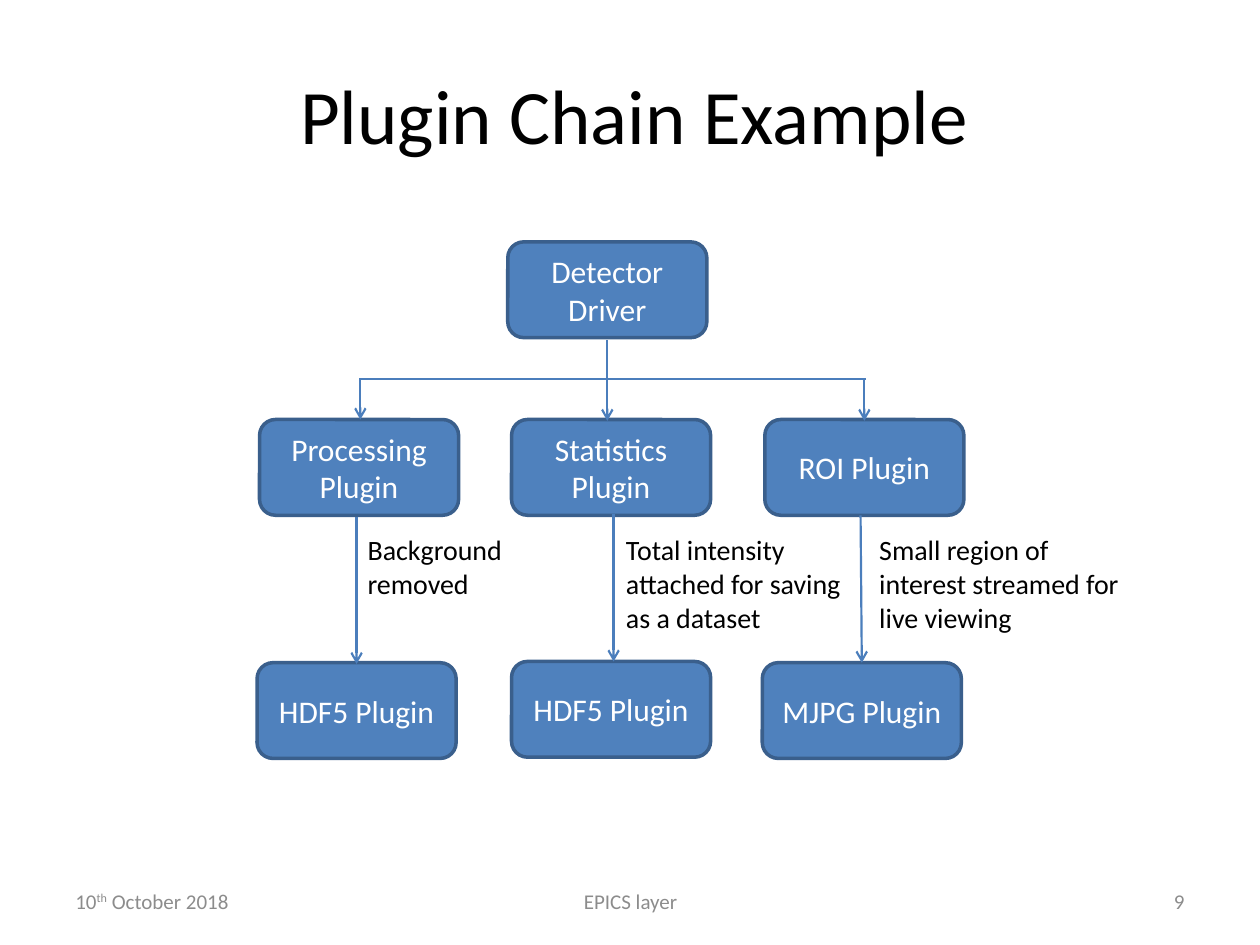
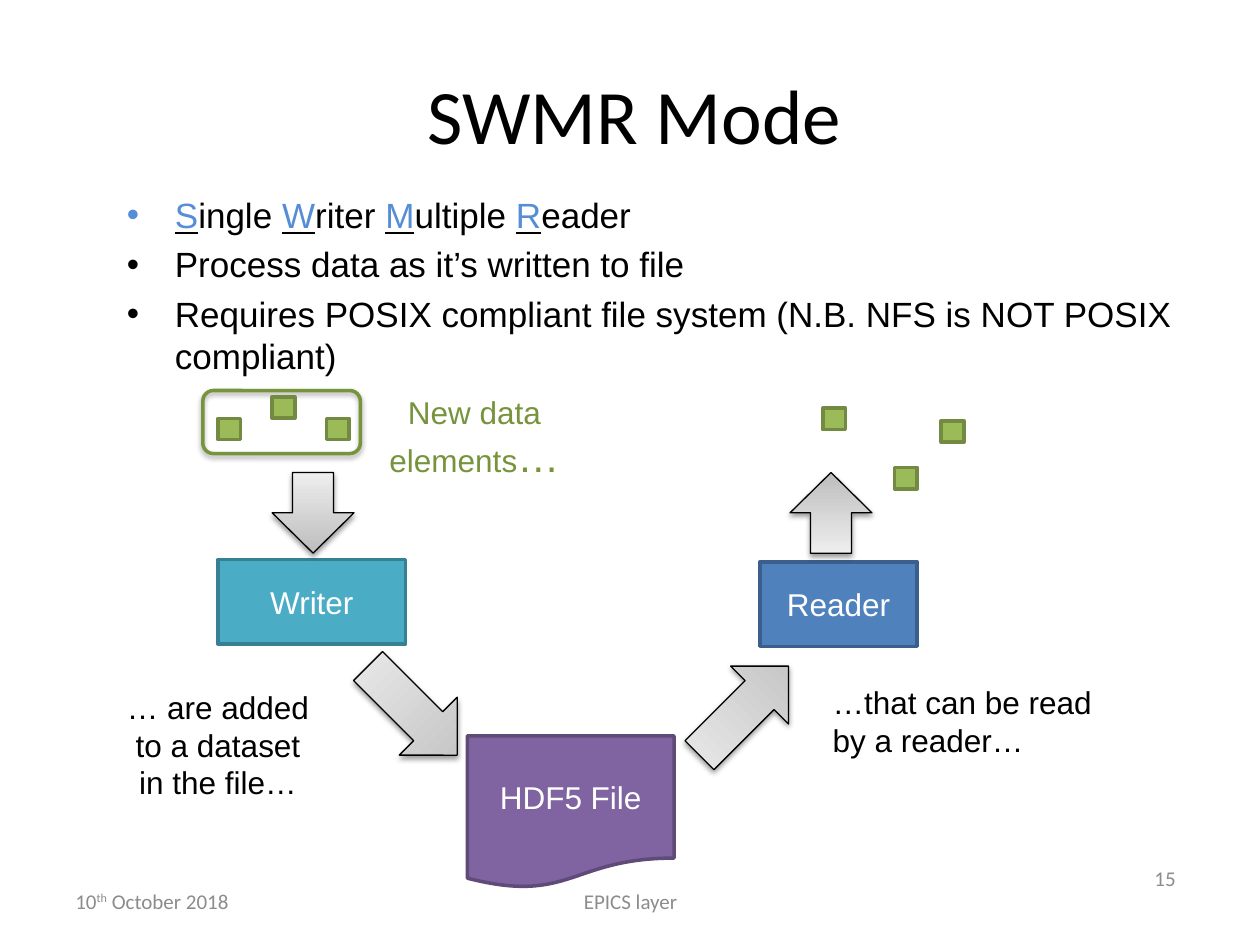
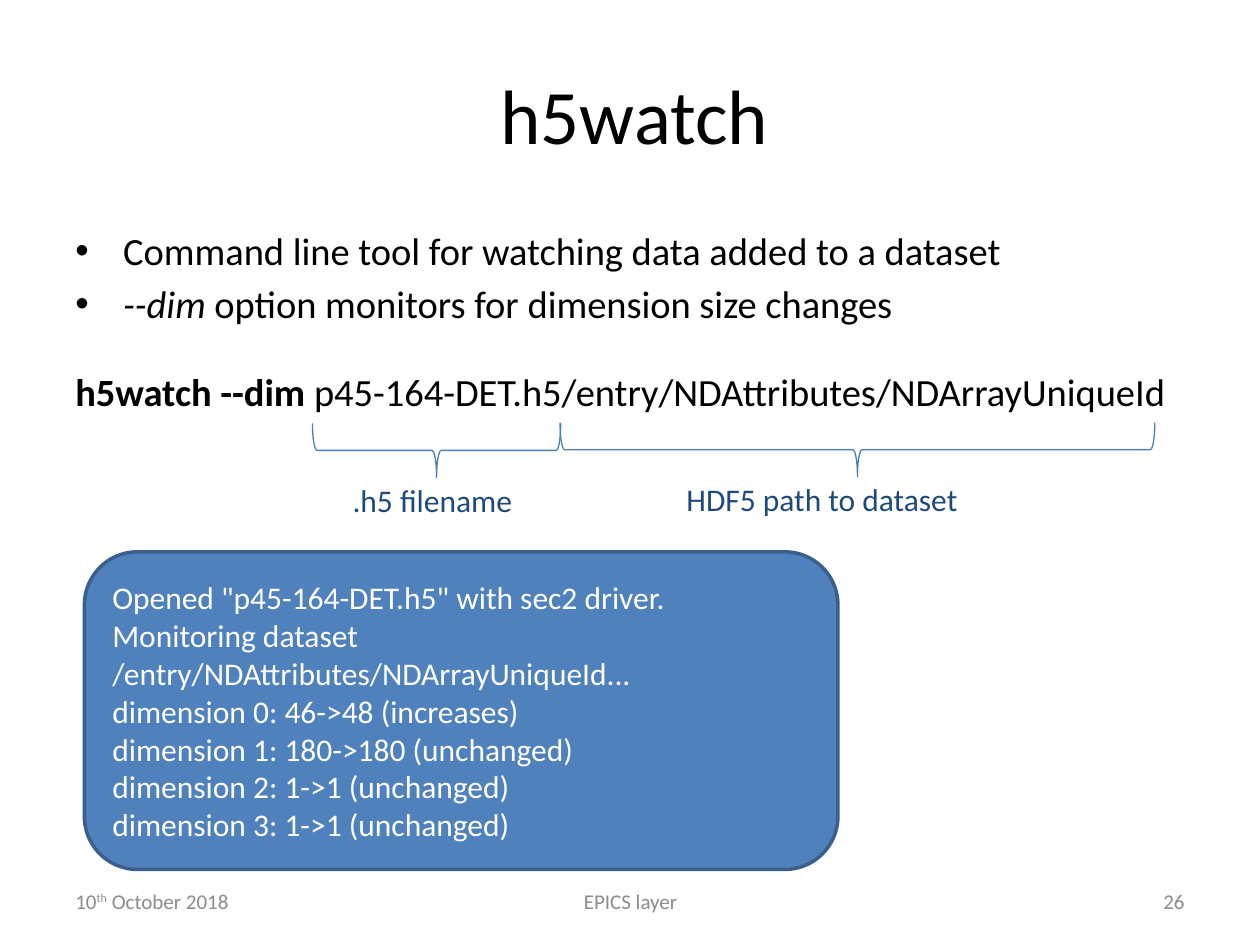
from dataclasses import dataclass
from typing import NamedTuple, Sequence

import pptx
import pptx.dml.color
import pptx.enum.shapes
import pptx.enum.text
import pptx.oxml
import pptx.oxml.ns
import pptx.util

PX = 9144
SHAPE = pptx.enum.shapes.MSO_SHAPE
ALIGN = pptx.enum.text.PP_ALIGN
ANCHOR = pptx.enum.text.MSO_ANCHOR
NAMESPACE = pptx.oxml.ns.nsdecls("a")


@dataclass(frozen=True)
class Theme:
    heading_font: str = "Calibri"
    diagram_font: str = "Arial"
    black: str = "000000"
    white: str = "FFFFFF"
    muted: str = "8C8C8C"
    navy: str = "1F497D"
    initial: str = "558ED5"
    connector: str = "4B7EBC"
    blue: str = "4F81BD"
    blue_edge: str = "3A5F8C"
    teal: str = "4BACC6"
    teal_edge: str = "377F92"
    purple: str = "8064A2"
    purple_edge: str = "5F4A78"
    green: str = "9BBB59"
    green_edge: str = "738A42"
    olive: str = "77933C"
    arrow_dark: str = "BDBDBD"
    arrow_light: str = "EEEEEE"
    title_size: int = 44
    command_size: int = 22
    bullet_size: int = 20
    label_size: int = 18
    note_size: int = 16
    footer_size: int = 12


THEME = Theme()


class Box(NamedTuple):
    left: int
    top: int
    width: int
    height: int


class Run(NamedTuple):
    text: str
    bold: bool = False
    italic: bool = False
    underline: bool = False
    color: str | None = None
    size: int | None = None
    baseline: int = 0


class Paragraph(NamedTuple):
    runs: Sequence[Run]
    bullet: bool = False
    before: int = 0


class Node(NamedTuple):
    label: str
    box: Box
    fill: str = THEME.blue
    edge: str = THEME.blue_edge
    kind: SHAPE = SHAPE.ROUNDED_RECTANGLE


class Link(NamedTuple):
    x1: int
    y1: int
    x2: int
    y2: int
    arrow: bool = True


class Note(NamedTuple):
    text: str
    box: Box


class BlockArrow(NamedTuple):
    box: Box
    rotation: int = 0


def rgb(value: str):
    return pptx.dml.color.RGBColor.from_string(value)


def emu(box: Box) -> list[int]:
    return [value * PX for value in box]


def plain(*lines: str) -> list[Paragraph]:
    return [Paragraph([Run(line)]) for line in lines]


def write(frame, paragraphs: Sequence[Paragraph], *, size: int,
          color: str = THEME.black, font: str = THEME.heading_font,
          align=ALIGN.LEFT, anchor=ANCHOR.TOP) -> None:
    frame.word_wrap = True
    frame.vertical_anchor = anchor
    for index, content in enumerate(paragraphs):
        paragraph = frame.add_paragraph() if index else frame.paragraphs[0]
        paragraph.alignment = align
        paragraph.space_before = pptx.util.Pt(content.before)
        if content.bullet:
            properties = paragraph._p.get_or_add_pPr()
            properties.set("marL", str(38 * PX))
            properties.set("indent", str(-38 * PX))
            properties.append(pptx.oxml.parse_xml(
                f'<a:buFont {NAMESPACE} typeface="{THEME.diagram_font}"/>'))
            properties.append(pptx.oxml.parse_xml(f'<a:buChar {NAMESPACE} char="•"/>'))
        for part in content.runs:
            run = paragraph.add_run()
            run.text = part.text
            run.font.size = pptx.util.Pt(part.size or size)
            run.font.bold = part.bold
            run.font.italic = part.italic
            run.font.color.rgb = rgb(part.color or color)
            properties = run._r.get_or_add_rPr()
            if part.underline:
                run.font.underline = True
                properties.append(pptx.oxml.parse_xml(
                    f'<a:uFill {NAMESPACE}><a:solidFill><a:srgbClr val="{THEME.black}"/>'
                    '</a:solidFill></a:uFill>'))
            if part.baseline:
                properties.set("baseline", str(part.baseline * 1000))
            run.font.name = font


def add_text(slide, box: Box, paragraphs: Sequence[Paragraph], **text_format) -> None:
    write(slide.shapes.add_textbox(*emu(box)).text_frame, paragraphs, **text_format)


def draw_shape(slide, kind, box: Box, *, edge: str, fill: str | None = None,
               weight: float = 2):
    shape = slide.shapes.add_shape(kind, *emu(box))
    shape.shadow.inherit = False
    if fill:
        shape.fill.solid()
        shape.fill.fore_color.rgb = rgb(fill)
    else:
        shape.fill.background()
    shape.line.color.rgb = rgb(edge)
    shape.line.width = pptx.util.Pt(weight)
    return shape


def draw_node(slide, node: Node, font: str = THEME.heading_font) -> None:
    shape = draw_shape(slide, node.kind, node.box, fill=node.fill, edge=node.edge)
    write(shape.text_frame, plain(node.label), size=THEME.label_size, color=THEME.white,
          font=font, align=ALIGN.CENTER, anchor=ANCHOR.MIDDLE)


def draw_link(slide, link: Link) -> None:
    connector = slide.shapes.add_connector(
        pptx.enum.shapes.MSO_CONNECTOR.STRAIGHT, *(value * PX for value in link[:4]))
    connector.line.color.rgb = rgb(THEME.connector)
    connector.line.width = pptx.util.Pt(1.25)
    if link.arrow:
        connector.line._get_or_add_ln().append(
            pptx.oxml.parse_xml(f'<a:tailEnd {NAMESPACE} type="arrow"/>'))
    connector._element.spPr.append(pptx.oxml.parse_xml(f'<a:effectLst {NAMESPACE}/>'))


def cast_shadow(shape, opacity: int) -> None:
    effects = shape._element.spPr.find(pptx.oxml.ns.qn("a:effectLst"))
    effects.append(pptx.oxml.parse_xml(
        f'<a:outerShdw {NAMESPACE} blurRad="40000" dist="21000" dir="5400000" '
        f'rotWithShape="0"><a:srgbClr val="{THEME.black}">'
        f'<a:alpha val="{opacity * 1000}"/></a:srgbClr></a:outerShdw>'))


def draw_block_arrow(slide, arrow: BlockArrow) -> None:
    shape = draw_shape(slide, SHAPE.DOWN_ARROW, arrow.box, edge=THEME.black, weight=0.75)
    shape.rotation = arrow.rotation
    shape.fill.gradient()
    shape.fill.gradient_angle = 90
    for stop, color in zip(shape.fill.gradient_stops, (THEME.arrow_dark, THEME.arrow_light)):
        stop.color.rgb = rgb(color)
    cast_shadow(shape, 38)


def start_slide(deck, title: str, number: int, number_box: Box = Box(717, 695, 233, 40)):
    slide = deck.slides.add_slide(deck.slide_layouts[5])
    heading = slide.shapes.title
    heading.left, heading.top, heading.width, heading.height = emu(Box(169, 28, 669, 125))
    write(heading.text_frame, plain(title), size=THEME.title_size,
          align=ALIGN.CENTER, anchor=ANCHOR.MIDDLE)
    date = [Paragraph([Run("10"), Run("th", baseline=30), Run(" October 2018")])]
    for box, paragraphs, align in (
        (Box(50, 695, 233, 40), date, ALIGN.LEFT),
        (Box(342, 695, 317, 40), plain("EPICS layer"), ALIGN.CENTER),
        (number_box, plain(str(number)), ALIGN.RIGHT),
    ):
        add_text(slide, box, paragraphs, size=THEME.footer_size, color=THEME.muted,
                 align=align, anchor=ANCHOR.MIDDLE)
    return slide


def build_plugin_chain(deck) -> None:
    slide = start_slide(deck, "Plugin Chain Example", 9)
    for label, left, top in (
        ("Detector Driver", 403, 192),
        ("Processing Plugin", 206, 333),
        ("Statistics Plugin", 406, 333),
        ("ROI Plugin", 607, 333),
        ("HDF5 Plugin", 204, 526),
        ("HDF5 Plugin", 406, 525),
        ("MJPG Plugin", 605, 526),
    ):
        draw_node(slide, Node(label, Box(left, top, 158, 76)))
    for link in (
        Link(482, 270, 482, 334),
        Link(285, 301, 687, 301, arrow=False),
        Link(286, 301, 286, 333),
        Link(686, 302, 686, 334),
        Link(283, 410, 283, 527),
        Link(487, 408, 487, 525),
        Link(683, 409, 684, 526),
    ):
        draw_link(slide, link)
    for note in (
        Note("Background removed", Box(282, 418, 186, 64)),
        Note("Total intensity attached for saving as a dataset", Box(487, 418, 197, 91)),
        Note("Small region of interest streamed for live viewing", Box(688, 418, 220, 91)),
    ):
        add_text(slide, note.box, plain(note.text), size=THEME.note_size)


def build_swmr_mode(deck) -> None:
    slide = start_slide(deck, "SWMR Mode", 15, Box(710, 677, 233, 40))
    acronym = [
        run
        for word in ("Single ", "Writer ", "Multiple ", "Reader")
        for run in (Run(word[0], underline=True, color=THEME.initial), Run(word[1:]))
    ]
    bullets = (
        acronym,
        [Run("Process data as it’s written to file")],
        [Run("Requires POSIX compliant file system (N.B. NFS is NOT POSIX compliant)")],
    )
    add_text(slide, Box(91, 149, 900, 92),
             [Paragraph(runs, bullet=True, before=4) for runs in bullets],
             size=THEME.bullet_size, font=THEME.diagram_font)
    for node in (
        Node("HDF5 File", Box(371, 584, 164, 121), THEME.purple, THEME.purple_edge,
             SHAPE.FLOWCHART_DOCUMENT),
        Node("Writer", Box(173, 444, 149, 67), THEME.teal, THEME.teal_edge, SHAPE.RECTANGLE),
        Node("Reader", Box(603, 446, 125, 67), kind=SHAPE.RECTANGLE),
    ):
        draw_node(slide, node, THEME.diagram_font)
    for arrow in (
        BlockArrow(Box(216, 375, 65, 64)),
        BlockArrow(Box(295, 514, 65, 100), 315),
        BlockArrow(Box(558, 514, 65, 100), 225),
        BlockArrow(Box(627, 375, 65, 64), 180),
    ):
        draw_block_arrow(slide, arrow)
    for box, paragraphs, color, align in (
        (Box(651, 537, 229, 85), plain("…that can be read by a reader…"),
         THEME.black, ALIGN.LEFT),
        (Box(286, 307, 181, 89),
         [Paragraph([Run("New data elements"), Run("…", size=24)])],
         THEME.olive, ALIGN.CENTER),
        (Box(87, 541, 172, 89), plain("… are added to a dataset in the file…"),
         THEME.black, ALIGN.CENTER),
    ):
        add_text(slide, box, paragraphs, size=THEME.label_size, color=color,
                 font=THEME.diagram_font, align=align)
    new_data = draw_shape(slide, SHAPE.ROUNDED_RECTANGLE, Box(161, 310, 125, 50),
                          edge=THEME.olive)
    cast_shadow(new_data, 35)
    for left, top in ((173, 332), (216, 315), (259, 332), (653, 324), (710, 371), (747, 334)):
        draw_shape(slide, SHAPE.RECTANGLE, Box(left, top, 18, 17),
                   fill=THEME.green, edge=THEME.green_edge)


def build_h5watch(deck) -> None:
    slide = start_slide(deck, "h5watch", 26)
    add_text(slide, Box(50, 175, 900, 239), [
        Paragraph([Run("Command line tool for watching data added to a dataset")],
                  bullet=True, before=4),
        Paragraph([Run("--dim ", italic=True),
                   Run("option monitors for dimension size changes")],
                  bullet=True, before=4),
        Paragraph([Run("h5watch --dim ", bold=True),
                   Run("p45-164-DET.h5/entry/NDAttributes/NDArrayUniqueId")], before=24),
    ], size=THEME.command_size)
    for brace_box, note in (
        (Box(325, 259, 43, 197), Note(".h5 filename", Box(270, 377, 150, 40))),
        (Box(659, 121, 43, 472), Note("HDF5 path to dataset", Box(535, 376, 260, 40))),
    ):
        brace = draw_shape(slide, SHAPE.RIGHT_BRACE, brace_box,
                           edge=THEME.connector, weight=0.75)
        brace.rotation = 90
        add_text(slide, note.box, plain(note.text), size=THEME.label_size, color=THEME.navy)
    console = draw_shape(slide, SHAPE.ROUNDED_RECTANGLE, Box(67, 438, 598, 252),
                         fill=THEME.blue, edge=THEME.blue_edge)
    write(console.text_frame, plain(
        'Opened "p45-164-DET.h5" with sec2 driver.',
        "Monitoring dataset /entry/NDAttributes/NDArrayUniqueId...",
        "dimension 0: 46->48 (increases)",
        "dimension 1: 180->180 (unchanged)",
        "dimension 2: 1->1 (unchanged)",
        "dimension 3: 1->1 (unchanged)",
    ), size=THEME.label_size, color=THEME.white, anchor=ANCHOR.MIDDLE)


def main() -> None:
    deck = pptx.Presentation()
    deck.slide_width, deck.slide_height = 1000 * PX, 750 * PX
    build_plugin_chain(deck)
    build_swmr_mode(deck)
    build_h5watch(deck)
    deck.save("out.pptx")


if __name__ == "__main__":
    main()
